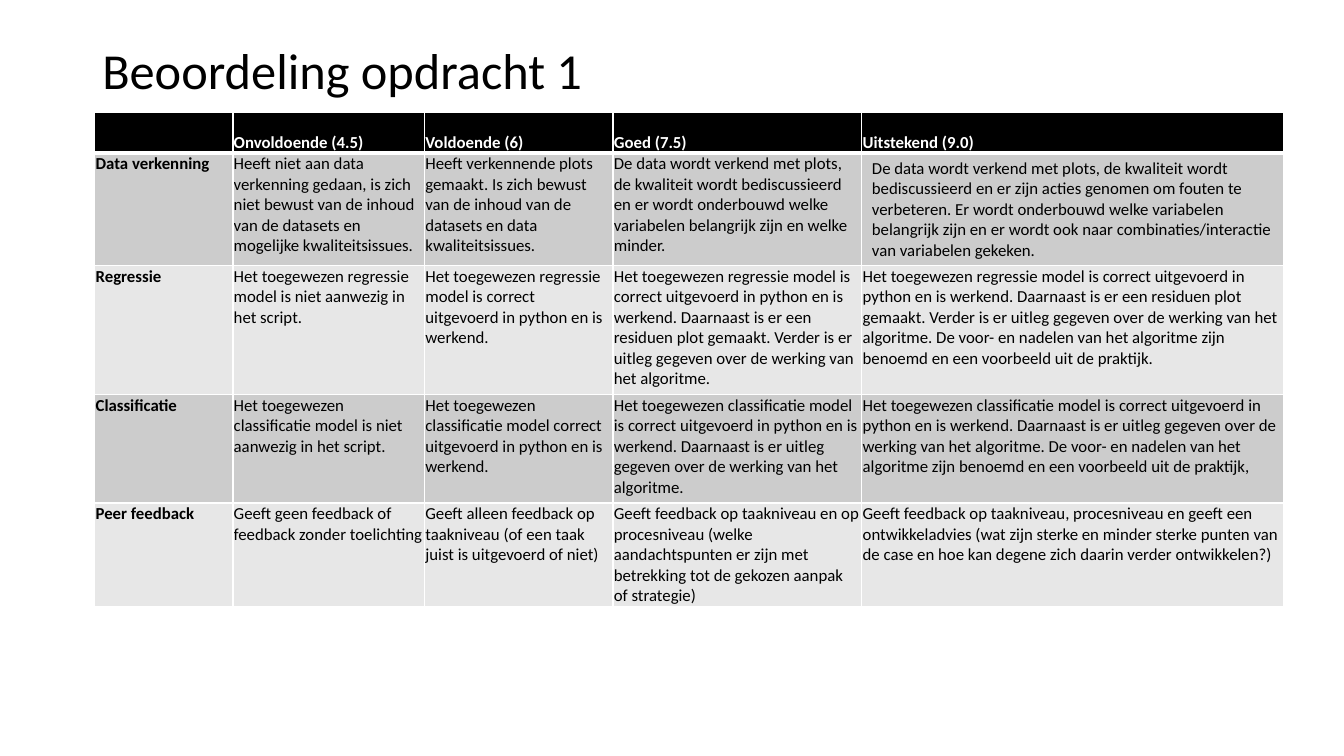
from dataclasses import dataclass

from lxml import etree
from pptx import Presentation
from pptx import util as u
from pptx.dml.color import RGBColor
from pptx.enum import text
from pptx.oxml import ns

BLACK = RGBColor(0x00, 0x00, 0x00)
WHITE = RGBColor(0xFF, 0xFF, 0xFF)
DARK_BAND = RGBColor(0xCC, 0xCC, 0xCC)
LIGHT_BAND = RGBColor(0xE7, 0xE7, 0xE7)

FONT = "Calibri"
THIN, THICK = u.Pt(1), u.Pt(3)
NARROW = u.Cm(0.02)
COLUMN_WIDTHS = [u.Cm(width) for width in (3.48, 4.83, 4.75, 6.27, 10.62)]


@dataclass
class RubricRow:
    height: u.Length
    bottom_margin: u.Length
    cells: list[str]


RUBRIC = [
    RubricRow(u.Cm(1.04), u.Cm(0), [
        "",
        "Onvoldoende (4.5)",
        "Voldoende (6)",
        "Goed (7.5)",
        "Uitstekend (9.0)",
    ]),
    RubricRow(u.Cm(1.04), u.Cm(0), [
        "Data verkenning",
        "Heeft niet aan data verkenning gedaan, is zich niet bewust van de inhoud "
        "van de datasets en mogelijke kwaliteitsissues.",
        "Heeft verkennende plots gemaakt. Is zich bewust van de inhoud van de "
        "datasets en data kwaliteitsissues.",
        "De data wordt verkend met plots, de kwaliteit wordt bediscussieerd en er "
        "wordt onderbouwd welke variabelen belangrijk zijn en welke minder.",
        "De data wordt verkend met plots, de kwaliteit wordt bediscussieerd en er "
        "zijn acties genomen om fouten te verbeteren. Er wordt onderbouwd welke "
        "variabelen belangrijk zijn en er wordt ook naar combinaties/interactie "
        "van variabelen gekeken.",
    ]),
    RubricRow(u.Cm(2.11), u.Cm(0.13), [
        "Regressie",
        "Het toegewezen regressie model is niet aanwezig in het script.",
        "Het toegewezen regressie model is correct uitgevoerd in python en is "
        "werkend.",
        "Het toegewezen regressie model is correct uitgevoerd in python en is "
        "werkend. Daarnaast is er een residuen plot gemaakt. Verder is er uitleg "
        "gegeven over de werking van het algoritme.",
        "Het toegewezen regressie model is correct uitgevoerd in python en is "
        "werkend. Daarnaast is er een residuen plot gemaakt. Verder is er uitleg "
        "gegeven over de werking van het algoritme. De voor- en nadelen van het "
        "algoritme zijn benoemd en een voorbeeld uit de praktijk.",
    ]),
    RubricRow(u.Cm(1.85), u.Cm(0.13), [
        "Classificatie",
        "Het toegewezen classificatie model is niet aanwezig in het script.",
        "Het toegewezen classificatie model correct uitgevoerd in python en is "
        "werkend.",
        "Het toegewezen classificatie model is correct uitgevoerd in python en is "
        "werkend. Daarnaast is er uitleg gegeven over de werking van het algoritme.",
        "Het toegewezen classificatie model is correct uitgevoerd in python en is "
        "werkend. Daarnaast is er uitleg gegeven over de werking van het algoritme. "
        "De voor- en nadelen van het algoritme zijn benoemd en een voorbeeld uit de "
        "praktijk,",
    ]),
    RubricRow(u.Cm(1.85), u.Cm(0), [
        "Peer feedback",
        "Geeft geen feedback of feedback zonder toelichting",
        "Geeft alleen feedback op taakniveau (of een taak juist is uitgevoerd of "
        "niet)",
        "Geeft feedback op taakniveau en op procesniveau (welke aandachtspunten er "
        "zijn met betrekking tot de gekozen aanpak of strategie)",
        "Geeft feedback op taakniveau, procesniveau en geeft een ontwikkeladvies "
        "(wat zijn sterke en minder sterke punten van de case en hoe kan degene "
        "zich daarin verder ontwikkelen?)",
    ]),
]


def add_run(paragraph, content: str, size: float, color: RGBColor,
            bold: bool = False) -> None:
    run = paragraph.add_run()
    run.text = content
    run.font.name = FONT
    run.font.size = u.Pt(size)
    run.font.bold = bold
    run.font.color.rgb = color


def add_borders(cell, top: u.Length, bottom: u.Length) -> None:
    properties = cell._tc.get_or_add_tcPr()
    widths = {"a:lnL": THIN, "a:lnR": THIN, "a:lnT": top, "a:lnB": bottom}
    for tag, width in widths.items():
        line = etree.SubElement(properties, ns.qn(tag), w=str(int(width)))
        fill = etree.SubElement(line, ns.qn("a:solidFill"))
        etree.SubElement(fill, ns.qn("a:srgbClr"), val=str(WHITE))


def add_title(slide, content: str) -> None:
    shape = slide.shapes.add_textbox(u.Cm(2.33), u.Cm(0), u.Cm(29.21), u.Cm(3.68))
    frame = shape.text_frame
    frame.word_wrap = True
    frame.vertical_anchor = text.MSO_ANCHOR.MIDDLE
    paragraph = frame.paragraphs[0]
    paragraph.line_spacing = 0.9
    add_run(paragraph, content, 36, BLACK)


def fill_cell(cell, row_index: int, column_index: int) -> None:
    row = RUBRIC[row_index]
    content = row.cells[column_index]
    is_header = row_index == 0
    add_borders(cell, THICK if row_index == 1 else THIN, THICK if is_header else THIN)
    cell.fill.solid()
    band = DARK_BAND if row_index % 2 else LIGHT_BAND
    cell.fill.fore_color.rgb = BLACK if is_header else band
    if not content:
        return

    # The last cell of the first criterion keeps the standard margins
    if (row_index, column_index) != (1, 4):
        cell.margin_left = cell.margin_right = cell.margin_top = NARROW
        cell.margin_bottom = row.bottom_margin
    cell.vertical_anchor = text.MSO_ANCHOR.BOTTOM if is_header else text.MSO_ANCHOR.TOP
    add_run(cell.text_frame.paragraphs[0], content, 12,
            WHITE if is_header else BLACK, bold=is_header or column_index == 0)


def add_rubric(slide) -> None:
    shape = slide.shapes.add_table(
        len(RUBRIC), len(COLUMN_WIDTHS), u.Cm(2.39), u.Cm(2.82),
        sum(COLUMN_WIDTHS), sum(row.height for row in RUBRIC))
    table = shape.table
    table.first_row = table.horz_banding = False
    for column, width in zip(table.columns, COLUMN_WIDTHS):
        column.width = width
    for row_index, row in enumerate(RUBRIC):
        table.rows[row_index].height = row.height
        for column_index in range(len(row.cells)):
            fill_cell(table.cell(row_index, column_index), row_index, column_index)


def main() -> None:
    presentation = Presentation()
    presentation.slide_width = u.Cm(33.87)
    presentation.slide_height = u.Cm(19.05)
    slide = presentation.slides.add_slide(presentation.slide_layouts[6])
    add_rubric(slide)
    add_title(slide, "Beoordeling opdracht 1")
    presentation.save("out.pptx")


if __name__ == "__main__":
    main()
